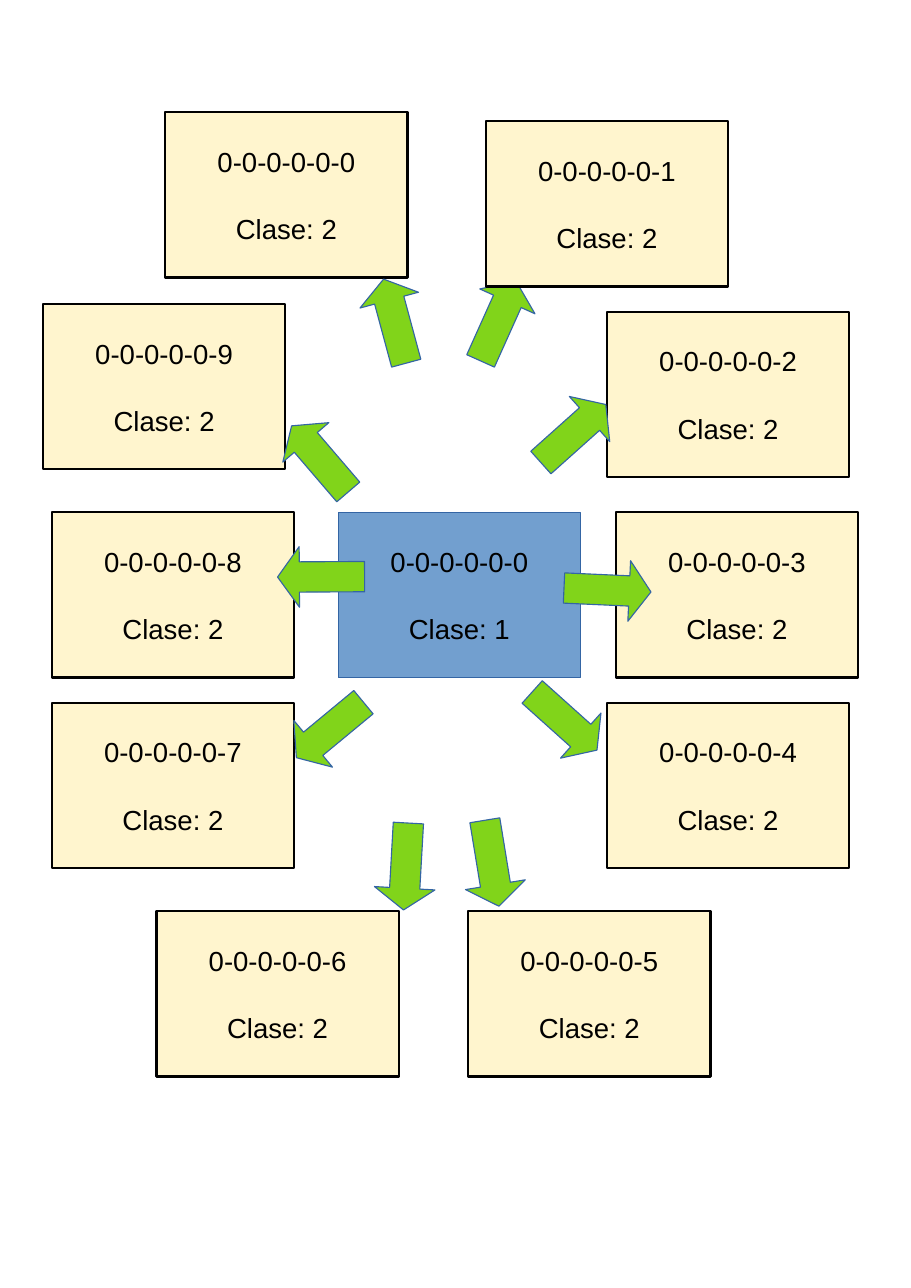
import pptx
import pptx.util
import pptx.dml.color
import pptx.enum.shapes
import pptx.enum.text

RGB = pptx.dml.color.RGBColor
KIND = pptx.enum.shapes.MSO_SHAPE
BLACK = RGB(0x00, 0x00, 0x00)
BLUE = RGB(0x72, 0x9F, 0xCF)
NAVY = RGB(0x34, 0x65, 0xA4)
CREAM = RGB(0xFF, 0xF5, 0xCE)
GREEN = RGB(0x81, 0xD4, 0x1A)

SCALE = 9144  # EMU per px, 100 px to the inch
PAGE = (827, 1169)
BOX = (220, 150)
ARROW = (55, 79)

# Left and top of each outer box, by its last digit
NODES = [(150, 102), (441, 110), (551, 283), (559, 465), (551, 638),
         (425, 827), (142, 827), (47, 638), (47, 465), (39, 276)]

# Left, top and turn of the arrow to each outer box, by the same digit
ARROWS = [(331, 252, 344.9), (425, 252, 24.2), (493, 354, 48.2),
          (524, 496, 92.6), (485, 615, 131.9), (419, 744, 170.7),
          (341, 747, 183.2), (272, 623, 230.4), (264, 484, 269.7),
          (263, 377, 319.4)]


class Chart:
    font = "Arial"
    size = 18
    gap = 22.4

    def __init__(self, deck):
        self.slide = deck.slides.add_slide(deck.slide_layouts[6])

    def shape(self, kind, spot, size, fill, line, width):
        frame = [n * SCALE for n in (*spot, *size)]
        item = self.slide.shapes.add_shape(kind, *frame)
        item.shadow.inherit = False
        item.fill.solid()
        item.fill.fore_color.rgb = fill
        item.line.color.rgb = line
        item.line.width = pptx.util.Pt(width)
        return item

    def box(self, spot, digit, level, fill=CREAM, line=BLACK, width=1.5):
        item = self.shape(KIND.RECTANGLE, spot, BOX, fill, line, width)
        text = item.text_frame
        text.word_wrap = False
        text.vertical_anchor = pptx.enum.text.MSO_ANCHOR.MIDDLE
        head = text.paragraphs[0]
        foot = text.add_paragraph()
        foot.space_before = pptx.util.Pt(self.gap)
        self.label(head, f"0-0-0-0-0-{digit}")
        self.label(foot, f"Clase: {level}")

    def label(self, para, words):
        para.alignment = pptx.enum.text.PP_ALIGN.CENTER
        run = para.add_run()
        run.text = words
        run.font.name = self.font
        run.font.size = pptx.util.Pt(self.size)
        run.font.color.rgb = BLACK

    def arrow(self, left, top, turn):
        item = self.shape(KIND.UP_ARROW, (left, top), ARROW, GREEN, NAVY, 0)
        item.adjustments[0] = 0.5
        item.adjustments[1] = 0.36
        item.rotation = turn


def main():
    deck = pptx.Presentation()
    deck.slide_width, deck.slide_height = [n * SCALE for n in PAGE]
    chart = Chart(deck)
    chart.box((307, 465), 0, 1, BLUE, NAVY, 0)
    under = ARROWS[1]  # the only arrow that lies below its box
    chart.arrow(*under)
    for digit, spot in enumerate(NODES):
        chart.box(spot, digit, 2)
    for arrow in ARROWS:
        if arrow != under:
            chart.arrow(*arrow)
    deck.save("out.pptx")


if __name__ == "__main__":
    main()
